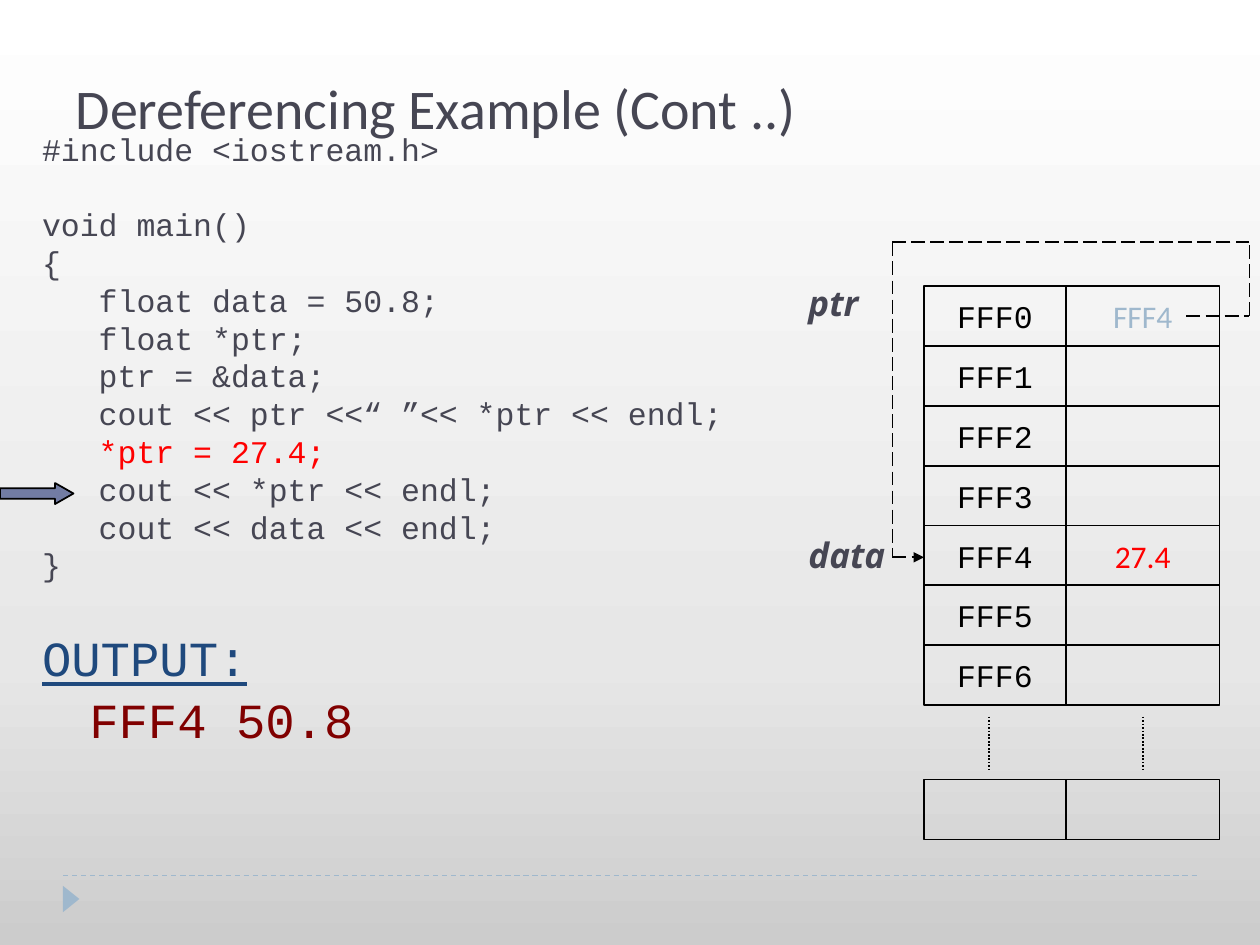
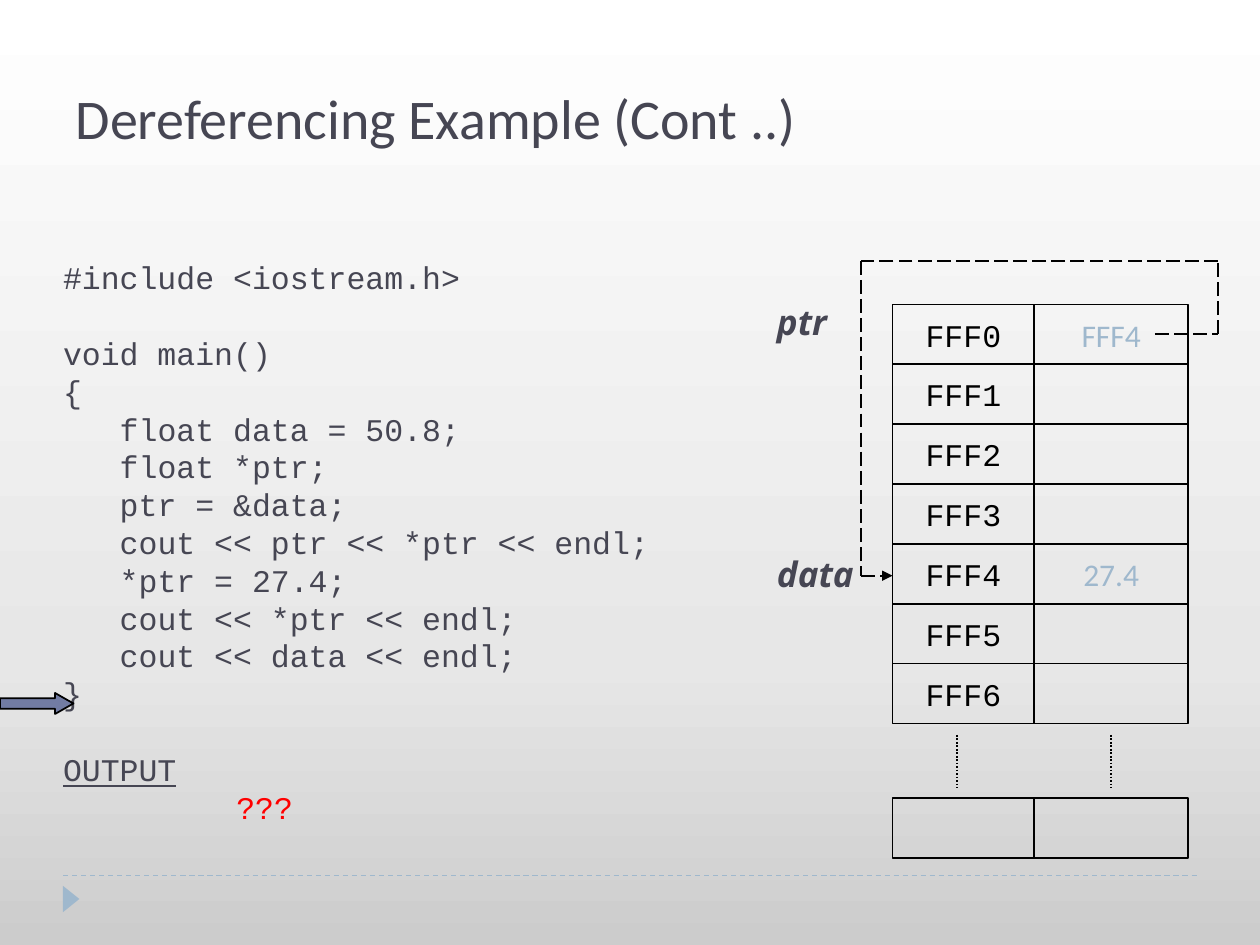
import copy

import pptx
import pptx.dml.color
import pptx.enum.dml
import pptx.enum.shapes
import pptx.enum.text
import pptx.oxml.ns
import pptx.util
from lxml import etree

Pt = pptx.util.Pt
qn = pptx.oxml.ns.qn
KIND = pptx.enum.shapes.MSO_SHAPE
DASH = pptx.enum.dml.MSO_LINE
SIDE = pptx.enum.text.PP_ALIGN
EDGE = pptx.enum.text.MSO_ANCHOR
FIT = pptx.enum.text.MSO_AUTO_SIZE

DARK, PALE, RED, BLACK = "464653", "9FB8CD", "FF0000", "000000"
HEAD = {"name": "Calibri", "size": Pt(32)}
CODE = {"name": "Courier New", "size": Pt(18)}
LARGE = {"name": "Courier New", "size": Pt(28)}
VALUE = {"name": "Calibri", "size": Pt(18)}
LABEL = {"name": "Noto Sans", "size": Pt(20), "bold": True, "italic": True}
PAD = {"margin_left": 0, "margin_right": 0, "word_wrap": True}
STEP = 21.6
TAB = 32.4
ROW = 34.2
LEFT, RIGHT = 81, 88


def tint(code):
    return pptx.dml.color.RGBColor.from_string(code)


def put(item, style):
    for key, value in style.items():
        setattr(item, key, value)


def place(shape, box):
    put(shape, dict(zip(("left", "top", "width", "height"), map(Pt, box))))


def write(par, text, style, color):
    run = par.add_run()
    run.text = text
    put(run.font, style)
    run.font.color.rgb = tint(color)


def draw(slide, kind, box, fill=None, line=None):
    shape = slide.shapes.add_shape(kind, *map(Pt, box))
    shape.shadow.inherit = False
    if fill:
        shape.fill.solid()
        shape.fill.fore_color.rgb = tint(fill)
    else:
        shape.fill.background()
    if line:
        shape.line.color.rgb = tint(line)
        shape.line.width = Pt(1)
    else:
        shape.line.fill.background()
    return shape


def rule(shapes, start, end, dash, color=BLACK, width=1, arrow=False):
    line = shapes.add_connector(
        pptx.enum.shapes.MSO_CONNECTOR.STRAIGHT, *map(Pt, start + end))
    line.line.color.rgb = tint(color)
    put(line.line, {"width": Pt(width), "dash_style": dash})
    part = line.element.spPr
    if arrow:
        etree.SubElement(part.find(qn("a:ln")), qn("a:tailEnd"), type="triangle")
    etree.SubElement(part, qn("a:effectLst"))
    return line


def theme(deck, slide):
    master = deck.slide_master
    fill = master.background.fill
    fill.gradient()
    first = next(master.element.iter(qn("a:gs")))
    first.addnext(copy.deepcopy(first))
    fill.gradient_angle = 90
    stops = ((0, "CCCCCC"), (0.3, "E7E7E7"), (1, "FFFFFF"))
    for stop, (spot, color) in zip(fill.gradient_stops, stops):
        stop.position = spot
        stop.color.rgb = tint(color)
    base = rule(slide.shapes, (36, 500.4), (684, 500.4), DASH.DASH, PALE, 0.75)
    mark = draw(slide, KIND.ISOSCELES_TRIANGLE, (33.1, 509, 15.1, 9.4), PALE)
    mark.rotation = 90
    for index, shape in enumerate((base, mark), 101):
        next(shape.element.iter(qn("p:cNvPr"))).set("id", str(index))
        master.shapes.element.append(shape.element)


def title(slide, box):
    shape = slide.shapes.title
    place(shape, box)
    frame = shape.text_frame
    put(frame, {"vertical_anchor": EDGE.BOTTOM, "auto_size": FIT.NONE})
    par = frame.paragraphs[0]
    par.alignment = SIDE.LEFT
    write(par, "Dereferencing Example (Cont ..)", HEAD, DARK)


def code(slide, box, lines):
    shape = slide.placeholders[1]
    place(shape, box)
    frame = shape.text_frame
    put(frame, {**PAD, "auto_size": FIT.NONE})
    for index, (text, more) in enumerate(lines):
        look = {"indent": 0, "gap": 0, "step": STEP, "style": CODE,
                "color": DARK, "under": None, **more}
        par = frame.add_paragraph() if index else frame.paragraphs[0]
        put(par, {"space_before": Pt(look["gap"]),
                  "line_spacing": Pt(look["step"])})
        prop = par._p.get_or_add_pPr()
        prop.set("marL", str(Pt(look["indent"])))
        prop.set("indent", "0")
        etree.SubElement(prop, qn("a:buNone"))
        style = {**look["style"], "underline": look["under"]}
        write(par, text, style, look["color"])


def source(print_line, change):
    body = ("float data = 50.8;", "float *ptr;", "ptr = &data;", print_line,
            "*ptr = 27.4;", "cout << *ptr << endl;", "cout << data << endl;")
    inner = [(text, {"indent": TAB}) for text in body]
    inner[4][1]["color"] = change
    return [("#include <iostream.h>", {}), ("void main()", {"gap": STEP}),
            ("{", {}), *inner, ("}", {})]


def cell(slide, box, text="", style=CODE, color=BLACK):
    shape = draw(slide, KIND.RECTANGLE, box, line=BLACK)
    if text:
        frame = shape.text_frame
        put(frame, {"vertical_anchor": EDGE.MIDDLE, "word_wrap": False})
        par = frame.paragraphs[0]
        par.alignment = SIDE.CENTER
        write(par, text, style, color)


def label(slide, x, y, text):
    frame = slide.shapes.add_textbox(*map(Pt, (x, y, 54, 31))).text_frame
    put(frame, PAD)
    write(frame.paragraphs[0], text, LABEL, DARK)


def loop(slide, x, y):
    group = slide.shapes.add_group_shape()
    spots = ((x + 150, y + 17), (x + 186, y + 17), (x + 186, y - 25),
             (x - 18, y - 25), (x - 18, y + 155), (x, y + 155))
    for index, (start, end) in enumerate(zip(spots, spots[1:])):
        rule(group.shapes, start, end, DASH.LONG_DASH, arrow=index == 4)


def store(slide, x, y, color):
    held = {0: ("FFF4", VALUE, PALE), 4: ("27.4", VALUE, color)}
    for row in range(7):
        top = y + row * ROW
        cell(slide, (x, top, LEFT, ROW), f"FFF{row}")
        cell(slide, (x + LEFT, top, RIGHT, ROW), *held.get(row, ()))
    for start, width, mid in ((x, LEFT, 37), (x + LEFT, RIGHT, 44)):
        cell(slide, (start, y + 282, width, ROW))
        rule(slide.shapes, (start + mid, y + 246), (start + mid, y + 276),
             DASH.ROUND_DOT)
    label(slide, x - 66, y - 6, "ptr")
    label(slide, x - 66, y + 138, "data")
    loop(slide, x, y)


def pointer(slide, y):
    shape = draw(slide, KIND.RIGHT_ARROW, (0, y, 42, 12), "727CA3", BLACK)
    shape.adjustments[0] = 0.5
    shape.adjustments[1] = 0.875


def main():
    deck = pptx.Presentation()
    put(deck, {"slide_width": Pt(720), "slide_height": Pt(540)})
    first, second = (deck.slides.add_slide(deck.slide_layouts[1])
                     for _ in range(2))
    theme(deck, first)

    title(first, (36, -6, 648, 90))
    big = {"style": LARGE, "step": 30.2}
    code(first, (24, 70.5, 438, 366), [
        *source("cout << ptr <<“ ”<< *ptr << endl;", RED),
        ("OUTPUT:", {**big, "gap": 28.6, "color": "1F497D", "under": True}),
        ("FFF4 50.8", {**big, "gap": 5.6, "color": "800000", "indent": 27})])
    pointer(first, 276)
    store(first, 528, 163.5, RED)

    title(second, (36, 12, 648, 78))
    code(second, (36, 144, 402, 366), [
        *source("cout << ptr << *ptr << endl;", DARK),
        ("OUTPUT", {"gap": STEP, "under": True}),
        ("???", {"indent": 99, "color": RED})])
    pointer(second, 396)
    store(second, 510, 174, PALE)

    deck.save("out.pptx")


main()
